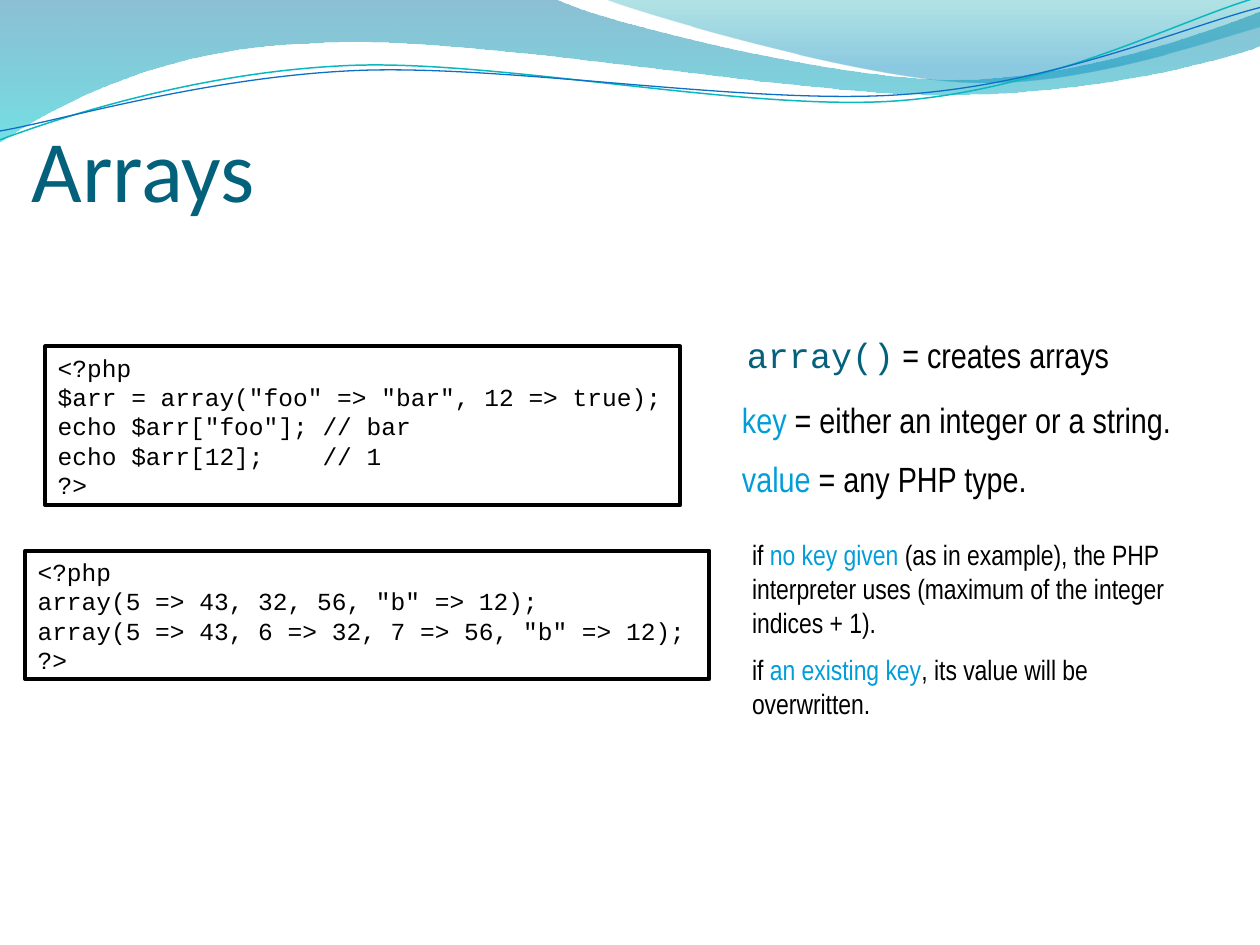
"""Build the Arrays slide with its wave header, code boxes and explanations."""
from dataclasses import dataclass
from math import cos, radians, sin

from lxml.etree import SubElement
from pptx import Presentation
from pptx.dml.color import RGBColor
from pptx.enum.shapes import MSO_SHAPE
from pptx.enum.text import MSO_ANCHOR, MSO_AUTO_SIZE, PP_ALIGN
from pptx.oxml.ns import qn
from pptx.util import Inches, Pt

CODE, NARROW = "Courier New", "Arial Narrow"
BLACK, TEAL, BLUE = "000000", "04617B", "009DD9"
TILT = -2.7


@dataclass
class Stop:
    position: float
    color: str
    opacity: int


@dataclass
class Wave:
    segments: list[tuple[float, ...]]
    stops: tuple[Stop, ...] = ()
    line: str = ""
    width: float = 0
    center: tuple[float, float] = (0, 0)


@dataclass
class Run:
    text: str
    color: str = BLACK
    font: str = NARROW


@dataclass
class Block:
    box: tuple[float, float, float, float]
    size: int
    paragraphs: list[list[Run]]
    framed: bool = False


WAVES = [
    Wave([(0, 0), (4.4, -0.01), (4.76, 0.17, 6.64, 0.63, 7.58, 0.63),
          (8.53, 0.63, 9.58, 0.26, 10, 0.09), (10.01, 0.36),
          (9.83, 0.44, 8.7, 0.76, 7.46, 0.75), (6.22, 0.75, 3.82, 0.28, 2.57, 0.34),
          (1.29, 0.36, 0.46, 0.83, -0.01, 1.13), (0, 0)],
         stops=(Stop(0, "0074A1", 45), Stop(1, "00C6CF", 55))),
    Wave([(4.79, -0.01), (5.09, 0.11, 6.82, 0.62, 7.69, 0.65),
          (8.56, 0.69, 9.61, 0.32, 10, 0.21), (10, 0), (4.79, -0.01)],
         stops=(Stop(0, "00A1A9", 30), Stop(0.8, "008BBF", 45))),
    Wave([(0, 1.11), (0.48, 0.93, 1.58, 0.57, 2.77, 0.52),
          (3.95, 0.47, 5.93, 0.89, 7.13, 0.8), (8.33, 0.71, 9.38, 0.15, 9.98, -0.02)],
         line="0AB8BF", width=0.85, center=(4.99, 0.57)),
    Wave([(0, 1.04), (0.47, 0.96, 1.64, 0.61, 2.83, 0.56),
          (4.03, 0.51, 5.97, 0.84, 7.17, 0.75), (8.36, 0.67, 9.41, 0.21, 10, 0.06)],
         line="0F6FC6", width=0.75, center=(5, 0.59)),
]


def code(*lines: str) -> list[list[Run]]:
    return [[Run(line, font=CODE)] for line in lines]


BLOCKS = [
    Block((5.83, 2.6, 3.35, 0.37), 20,
          [[Run("array()", TEAL, CODE), Run(" = creates arrays")]]),
    Block((0.36, 2.75, 5.04, 1.26), 14,
          code("<?php", '$arr = array("foo" => "bar", 12 => true);',
               'echo $arr["foo"]; // bar', "echo $arr[12];    // 1", "?>"), framed=True),
    Block((5.79, 3.11, 3.78, 0.8), 20,
          [[Run("key", BLUE), Run(" = either an integer or a string.")],
           [Run("value", BLUE), Run(" = any PHP type.")]]),
    Block((0.2, 4.37, 5.43, 1.02), 14,
          code("<?php", 'array(5 => 43, 32, 56, "b" => 12);',
               'array(5 => 43, 6 => 32, 7 => 56, "b" => 12);', "?>"), framed=True),
    Block((5.87, 4.22, 3.78, 1.62), 16,
          [[Run("if "), Run("no key given ", BLUE),
            Run("(as in example), the PHP interpreter uses "
                "(maximum of the integer indices + 1).")],
           [Run("if "), Run("an existing key", BLUE),
            Run(", its value will be overwritten.")]]),
]


def rgb(color: str) -> RGBColor:
    return RGBColor.from_string(color)


def level(x: float, y: float, center: tuple[float, float]) -> tuple[int, int]:
    dx, dy, a = x - center[0], y - center[1], radians(-TILT)
    return (Inches(center[0] + dx * cos(a) - dy * sin(a)),
            Inches(center[1] + dx * sin(a) + dy * cos(a)))


def place(wave: Wave) -> list[list[tuple[int, int]]]:
    pairs = [list(zip(seg[::2], seg[1::2])) for seg in wave.segments]
    if wave.stops:
        return [[(Inches(x), Inches(y)) for x, y in seg] for seg in pairs]
    return [[level(x, y, wave.center) for x, y in seg] for seg in pairs]


def bend(sp, segments: list[list[tuple[int, int]]]) -> None:
    lines = list(sp._element.iter(qn("a:lnTo")))
    for line, seg in zip(lines, segments):
        if len(seg) == 1:
            continue
        line.tag = qn("a:cubicBezTo")
        for point in list(line):
            line.remove(point)
        for x, y in seg:
            SubElement(line, qn("a:pt"), x=str(x - sp.left), y=str(y - sp.top))


def add_wave(s, wave: Wave) -> None:
    start, *rest = place(wave)
    builder = s.shapes.build_freeform(*start[0])
    builder.add_line_segments([seg[-1] for seg in rest], close=bool(wave.stops))
    sp = builder.convert_to_shape()
    bend(sp, rest)
    sp.shadow.inherit = False
    if not wave.stops:
        sp.rotation = TILT
        sp.fill.background()
        sp.line.color.rgb = rgb(wave.line)
        sp.line.width = Pt(wave.width)
        return
    sp.line.fill.background()
    sp.fill.gradient()
    sp.fill.gradient_angle = 270
    for target, stop in zip(sp.fill.gradient_stops, wave.stops):
        target.position = stop.position
        target.color.rgb = rgb(stop.color)
    colors = sp._element.spPr.find(qn("a:gradFill")).iter(qn("a:srgbClr"))
    for element, stop in zip(list(colors), wave.stops):
        SubElement(element, qn("a:alpha"), val=str(stop.opacity * 1000))


def add_run(p, run: Run, size: int) -> None:
    r = p.add_run()
    r.text = run.text
    r.font.name, r.font.size = run.font, Pt(size)
    r.font.color.rgb = rgb(run.color)


def add_block(s, block: Block) -> None:
    box = [Inches(v) for v in block.box]
    if block.framed:
        sp = s.shapes.add_shape(MSO_SHAPE.RECTANGLE, *box)
        sp.shadow.inherit = False
        sp.fill.background()
        sp.line.color.rgb, sp.line.width = rgb(BLACK), Pt(2.25)
    else:
        sp = s.shapes.add_textbox(*box)
    tf = sp.text_frame
    tf.word_wrap = True
    tf.auto_size = MSO_AUTO_SIZE.SHAPE_TO_FIT_TEXT
    tf.vertical_anchor = MSO_ANCHOR.TOP
    for i, runs in enumerate(block.paragraphs):
        p = tf.add_paragraph() if i else tf.paragraphs[0]
        p.alignment = PP_ALIGN.LEFT
        if not block.framed:
            before = SubElement(p._p.get_or_add_pPr(), qn("a:spcBef"))
            SubElement(before, qn("a:spcPct"), val="50000")
        for run in runs:
            add_run(p, run, block.size)


def add_title(s, text: str) -> None:
    sp = s.shapes.title
    sp.left, sp.top, sp.width, sp.height = (Inches(v) for v in (0.25, 1.08, 9, 0.67))
    tf = sp.text_frame
    tf.auto_size = MSO_AUTO_SIZE.NONE
    tf.vertical_anchor = MSO_ANCHOR.BOTTOM
    tf.margin_left = tf.margin_right = tf.margin_bottom = 0
    p = tf.paragraphs[0]
    p.alignment = PP_ALIGN.LEFT
    add_run(p, Run(text, TEAL, "Calibri"), 50)


def main() -> None:
    prs = Presentation()
    prs.slide_width, prs.slide_height = Inches(10), Inches(7.5)
    s = prs.slides.add_slide(prs.slide_layouts[5])
    for wave in WAVES:
        add_wave(s, wave)
    add_title(s, "Arrays")
    for block in BLOCKS:
        add_block(s, block)
    prs.save("out.pptx")


if __name__ == "__main__":
    main()
